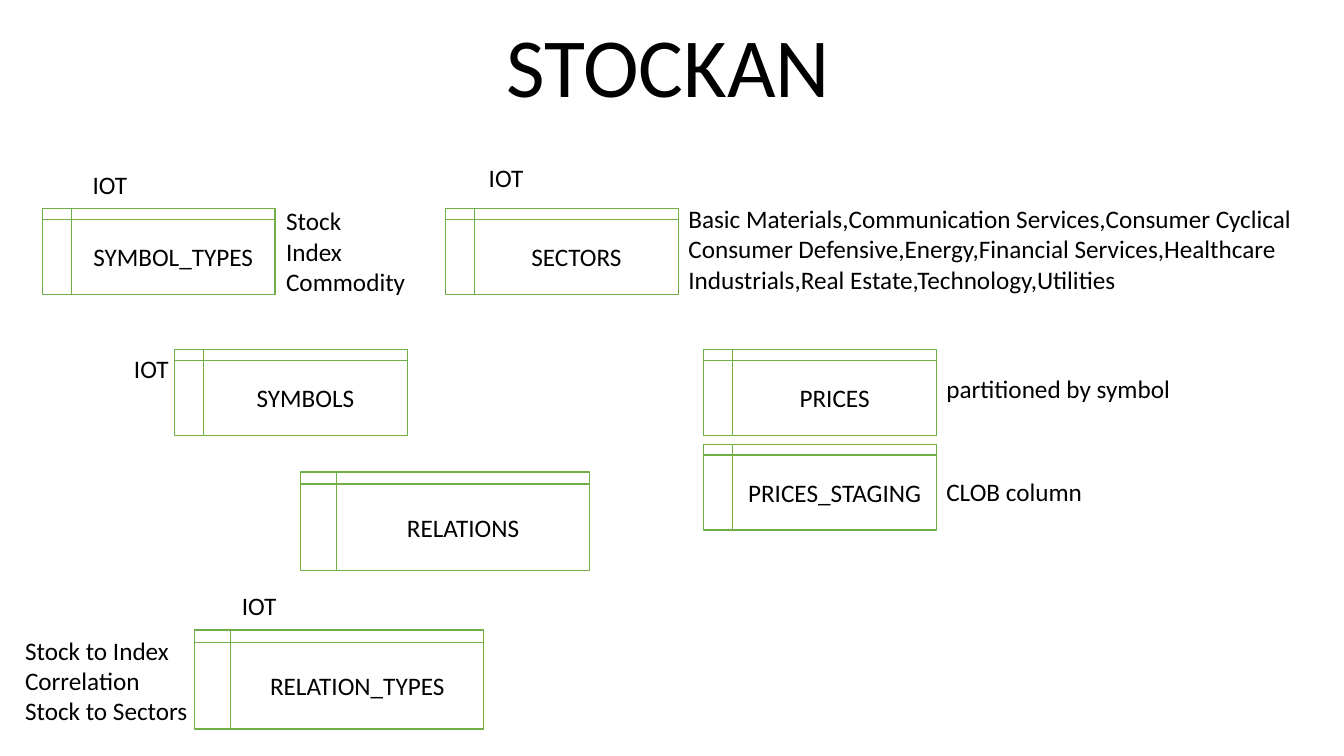
from typing import NamedTuple

from pptx import Presentation
from pptx.dml.color import RGBColor
from pptx.enum.shapes import MSO_SHAPE as Shape
from pptx.enum.text import MSO_ANCHOR as Anchor, MSO_AUTO_SIZE as AutoSize, PP_ALIGN as Align
from pptx.util import Pt

BODY = {"name": "Calibri", "size": Pt(18)}
TITLE = {"name": "Calibri", "size": Pt(60)}
BLACK, WHITE, GREEN = "000000", "FFFFFF", "70AD47"


class Table(NamedTuple):
    name: str
    left: float
    top: float
    width: float = 166.3
    height: float = 61.2


class Note(NamedTuple):
    lines: list[str]
    left: float
    top: float
    width: float
    height: float = 28.8


RELATION_SIZE = (206.6, 70.6)
LOOKUP_TOP, SYMBOL_TOP, PRICES_LEFT = 149, 249.8, 502.6
PRICE_NOTE_LEFT = 668.9

TABLES = [
    Table("SYMBOL_TYPES", 30.2, LOOKUP_TOP),
    Table("SECTORS", 318.2, LOOKUP_TOP),
    Table("SYMBOLS", 124.6, SYMBOL_TOP),
    Table("PRICES", PRICES_LEFT, SYMBOL_TOP),
    Table("PRICES_STAGING", PRICES_LEFT, 317.5),
    Table("RELATIONS", 214.6, 337, *RELATION_SIZE),
    Table("RELATION_TYPES", 139, 450, *RELATION_SIZE),
]

NOTES = [
    Note(["Stock", "Index", "Commodity"], 197.3, 143.3, 100.8, 72.7),
    Note(["Basic Materials,Communication Services,Consumer Cyclical",
          "Consumer Defensive,Energy,Financial Services,Healthcare",
          "Industrials,Real Estate,Technology,Utilities"], 484.6, 141.8, 450, 72.7),
    Note(["Stock to Index", "Correlation", "Stock to Sectors"], 10.8, 450, 131.8, 72.7),
    Note(["partitioned by symbol"], PRICE_NOTE_LEFT, 262.8, 176.4),
    Note(["CLOB column"], PRICE_NOTE_LEFT, 337, 112.3),
]

# Left and top of each index-organized-table label
IOT_SPOTS = [(59, 117.4), (342, 112.3), (165.6, 418.3), (88.6, 249.1)]
NOTES += [Note(["IOT"], left, top, 39.6) for left, top in IOT_SPOTS]


def color(value: str) -> RGBColor:
    return RGBColor.from_string(value)


def write(tf, lines: list[str], font: dict, align=Align.LEFT) -> None:
    for i, line in enumerate(lines):
        p = tf.paragraphs[0] if i == 0 else tf.add_paragraph()
        p.alignment = align
        r = p.add_run()
        r.text = line
        for key, value in font.items():
            setattr(r.font, key, value)
        r.font.color.rgb = color(BLACK)


def draw_table(slide, table: Table) -> None:
    sp = slide.shapes.add_shape(Shape.FLOWCHART_INTERNAL_STORAGE, *map(Pt, table[1:]))
    sp.shadow.inherit = False
    sp.fill.solid()
    sp.fill.fore_color.rgb = color(WHITE)
    sp.line.color.rgb = color(GREEN)
    sp.line.width = Pt(1)
    sp.text_frame.vertical_anchor = Anchor.MIDDLE
    write(sp.text_frame, [table.name], BODY, Align.CENTER)


def draw_note(slide, note: Note) -> None:
    tf = slide.shapes.add_textbox(*map(Pt, note[1:])).text_frame
    tf.word_wrap = False
    tf.auto_size = AutoSize.SHAPE_TO_FIT_TEXT
    write(tf, note.lines, BODY)


def draw_title(slide, text: str) -> None:
    tf = slide.shapes.add_textbox(Pt(10.8), Pt(13), Pt(933.1), Pt(73.4)).text_frame
    tf.word_wrap = True
    tf.vertical_anchor = Anchor.BOTTOM
    write(tf, [text], TITLE, Align.CENTER)
    tf.paragraphs[0].line_spacing = 0.9


def main() -> None:
    prs = Presentation()
    prs.slide_width, prs.slide_height = Pt(960), Pt(540)
    slide = prs.slides.add_slide(prs.slide_layouts[6])

    # Schema tables, then their annotations and the heading
    for table in TABLES:
        draw_table(slide, table)
    for note in NOTES:
        draw_note(slide, note)
    draw_title(slide, "STOCKAN")

    prs.save("out.pptx")


if __name__ == "__main__":
    main()
